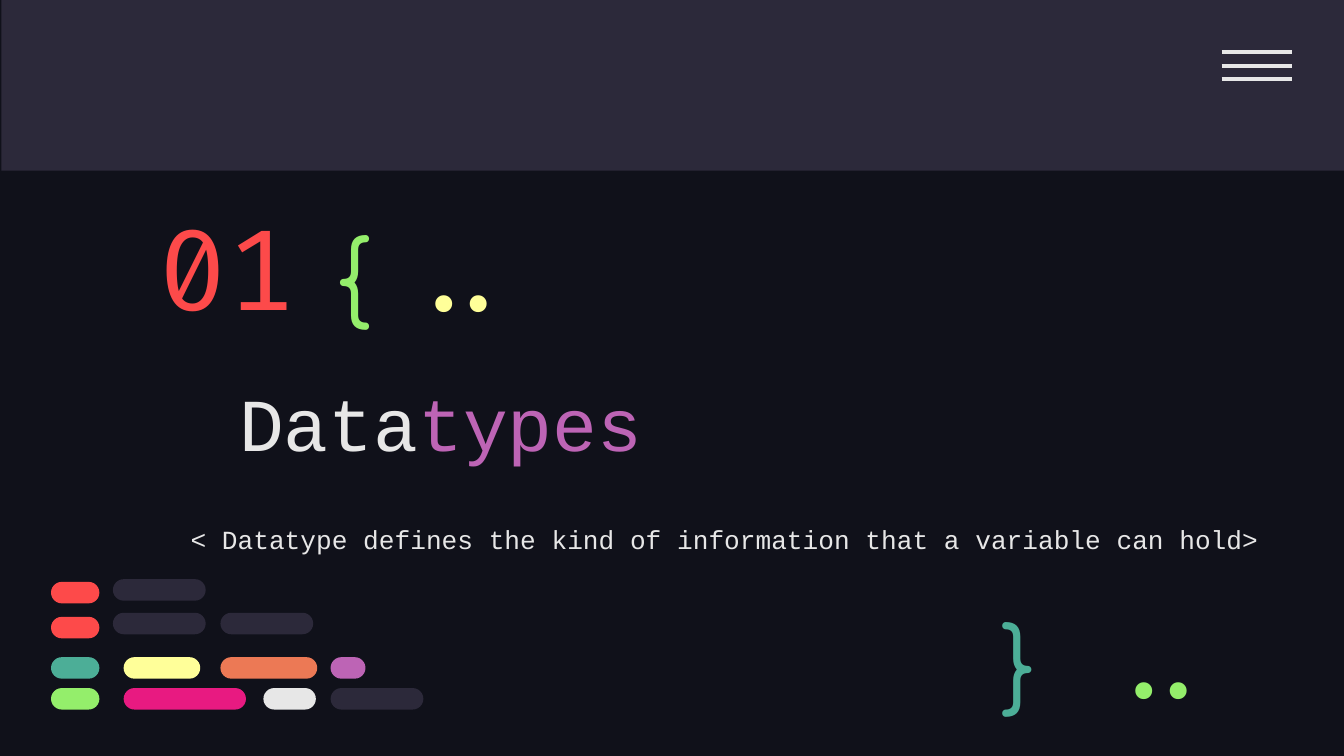
"""Build the section slide that introduces datatypes."""
from pptx import Presentation
from pptx.dml.color import RGBColor
from pptx.enum.shapes import MSO_CONNECTOR, MSO_SHAPE
from pptx.enum.text import MSO_ANCHOR, MSO_AUTO_SIZE, PP_ALIGN
from pptx.oxml.ns import qn
from pptx.util import Inches, Pt
from lxml.etree import SubElement

NIGHT = RGBColor(0x10, 0x11, 0x1A)
SLATE = RGBColor(0x2C, 0x29, 0x3A)
WHITE = RGBColor(0xE7, 0xE7, 0xE7)
PURPLE = RGBColor(0xBD, 0x64, 0xB5)
RED = RGBColor(0xFD, 0x4A, 0x4A)
GREEN = RGBColor(0x94, 0xEE, 0x6B)
TEAL = RGBColor(0x4C, 0xAE, 0x97)
YELLOW = RGBColor(0xFF, 0xFF, 0x99)
ORANGE = RGBColor(0xEC, 0x79, 0x55)
PINK = RGBColor(0xE8, 0x1A, 0x81)

CODE, MONO, ROUND = "Fira Code", "Courier New", "Comfortaa"
MIDDLE = MSO_ANCHOR.MIDDLE

TITLE = [("Data", WHITE), ("types", PURPLE)]
TITLE_BOX = (1.68, 2.48, 7.26, 1.31)
DEFINITION = "< Datatype defines the kind of information that a variable can hold>"
TEXTS = [
    ([("01", RED)], (1.08, 1.48, 1.81, 1), dict(size=60, font=CODE, anchor=MIDDLE)),
    ([(DEFINITION, WHITE)], (1.32, 3.76, 8.17, 0.31),
     dict(size=14, font=MONO, spacing=1.15)),
    ([("{", GREEN)], (2.4, 1.5, 0.77, 0.95), dict(size=50, font=ROUND)),
    ([("}", TEAL)], (7.35, 4.38, 0.57, 0.83), dict(size=50, font=ROUND)),
]
DOTS = [(GREEN, 8.1, 4.62), (YELLOW, 2.89, 1.74)]

PILL_HEIGHT = 0.16
PILL_ROWS = [
    (4.33, [(0.38, 0.36, RED)]),
    (4.59, [(0.38, 0.36, RED)]),
    (4.89, [(0.38, 0.36, TEAL), (0.92, 0.57, YELLOW), (1.64, 0.72, ORANGE),
            (2.46, 0.26, PURPLE)]),
    (5.12, [(0.38, 0.36, GREEN), (0.92, 0.91, PINK), (1.96, 0.39, WHITE),
            (2.46, 0.69, SLATE)]),
    (4.56, [(0.84, 0.69, SLATE), (1.64, 0.69, SLATE)]),
    (4.31, [(0.84, 0.69, SLATE)]),
]
MENU_LEFT, MENU_RIGHT, MENU_TOP, MENU_STEP = 9.09, 9.61, 0.39, 0.1


def write(sp, runs, size, font, anchor=MSO_ANCHOR.TOP, align=PP_ALIGN.LEFT, spacing=1.0):
    tf = sp.text_frame
    tf.word_wrap = True
    tf.auto_size = MSO_AUTO_SIZE.NONE
    tf.vertical_anchor = anchor
    tf.margin_left = tf.margin_right = tf.margin_top = tf.margin_bottom = Inches(0.1)
    p = tf.paragraphs[0]
    p.alignment, p.line_spacing = align, spacing
    for text, color in runs:
        r = p.add_run()
        r.text = text
        r.font.size, r.font.name = Pt(size), font
        r.font.color.rgb = color


def add_block(s, kind, box, color):
    sp = s.shapes.add_shape(kind, *map(Inches, box))
    sp.shadow.inherit = False
    sp.fill.solid()
    sp.fill.fore_color.rgb = color
    sp.line.fill.background()
    return sp


def add_menu_line(s, y):
    line = s.shapes.add_connector(
        MSO_CONNECTOR.STRAIGHT, *map(Inches, (MENU_LEFT, y, MENU_RIGHT, y)))
    line.line.color.rgb = WHITE
    line.line.width = Pt(2.25)
    SubElement(line._element.spPr, qn("a:effectLst"))


def main():
    prs = Presentation()
    prs.slide_width = Inches(10)
    prs.slide_height = Inches(10) * 9 // 16
    s = prs.slides.add_slide(prs.slide_layouts[5])
    s.background.fill.solid()
    s.background.fill.fore_color.rgb = NIGHT

    add_block(s, MSO_SHAPE.RECTANGLE, (0.01, 0, 9.99, 1.27), SLATE)
    for i in range(3):
        add_menu_line(s, MENU_TOP + i * MENU_STEP)

    title = s.shapes.title
    title.left, title.top, title.width, title.height = map(Inches, TITLE_BOX)
    write(title, TITLE, size=40, font=MONO, anchor=MIDDLE)
    for runs, box, style in TEXTS:
        write(s.shapes.add_textbox(*map(Inches, box)), runs, **style)
    for color, x, y in DOTS:
        sp = s.shapes.add_textbox(*map(Inches, (x, y, 1.07, 0.6)))
        write(sp, [("..", color)], size=50, font=CODE, anchor=MIDDLE,
              align=PP_ALIGN.RIGHT)

    for y, pills in PILL_ROWS:
        for x, width, color in pills:
            pill = add_block(s, MSO_SHAPE.ROUNDED_RECTANGLE,
                             (x, y, width, PILL_HEIGHT), color)
            pill.adjustments[0] = 0.5
    prs.save("out.pptx")


if __name__ == "__main__":
    main()
